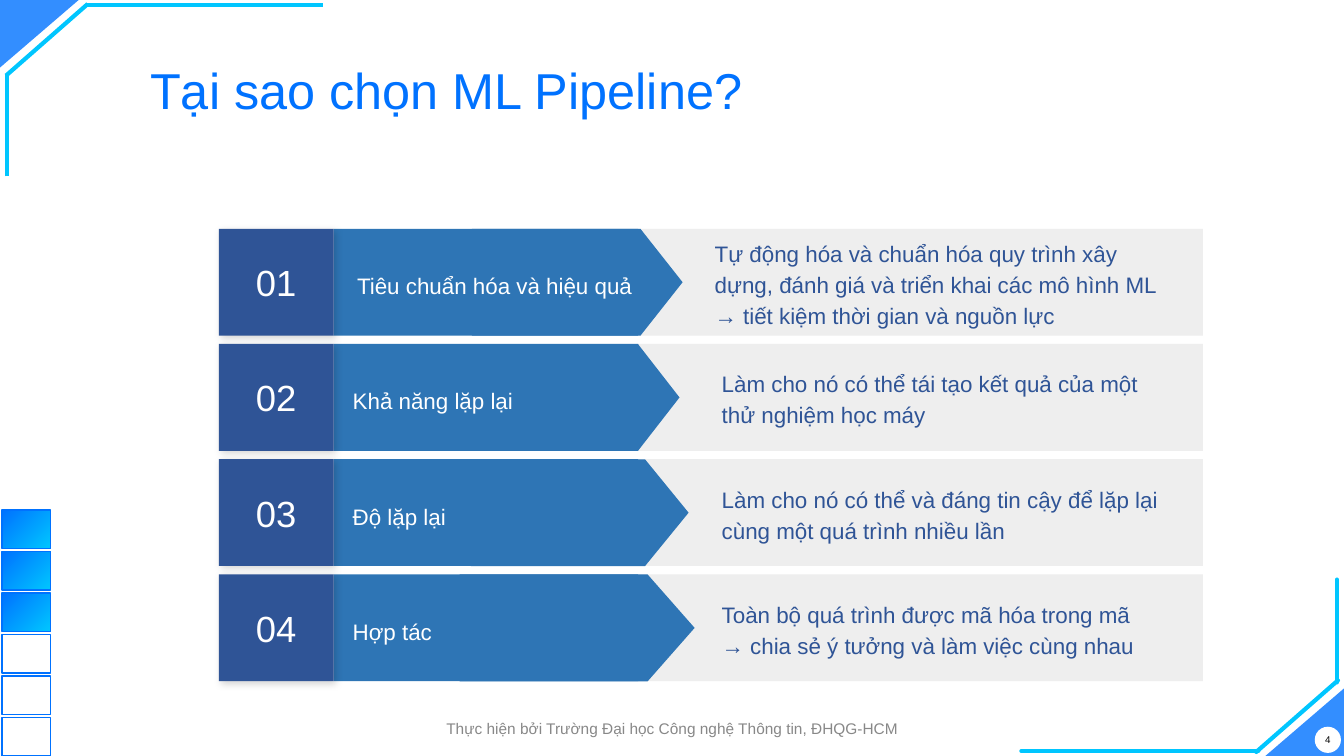
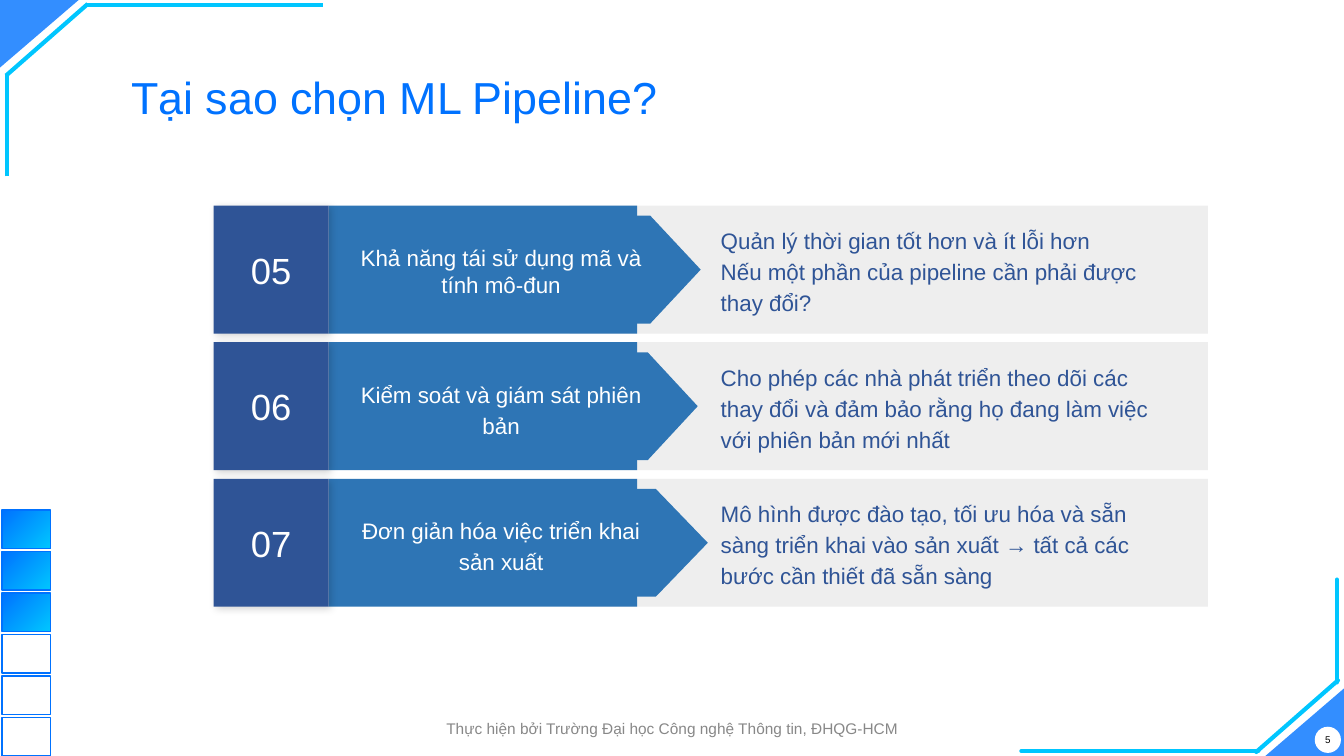
from dataclasses import dataclass

from lxml.etree import SubElement
from pptx import Presentation
from pptx.dml.color import RGBColor
from pptx.enum.shapes import MSO_CONNECTOR, MSO_SHAPE
from pptx.enum.text import MSO_ANCHOR, MSO_AUTO_SIZE, PP_ALIGN
from pptx.oxml.ns import qn
from pptx.util import Inches, Pt

FONT = "Arial"
BLUE, CYAN, WHITE, BLACK = "0072FF", "00C6FF", "FFFFFF", "000000"
NAVY, BAND_BLUE, PANEL_GREY, FOOTER_GREY = "2F5496", "2E75B5", "EEEEEE", "888888"
TITLE = "Tại sao chọn ML Pipeline?"
FOOTER = "Thực hiện bởi Trường Đại học Công nghệ Thông tin, ĐHQG-HCM"


@dataclass
class Row:
    number: str
    label: str
    description: str
    arrow_tip: float  # from the left edge of the row
    arrow_length: float
    label_box: tuple  # left offset and width
    description_box: tuple
    label_align: PP_ALIGN = PP_ALIGN.CENTER
    label_spacing: float = 1.15


@dataclass
class RowGrid:
    left: float
    top: float
    width: float
    height: float
    pitch: float
    number_width: float
    band_width: float
    panel_offset: float
    arrow_height: float


def color(hex_string):
    return RGBColor.from_string(hex_string)


def write_text(shape, text, size, hex_color, align=PP_ALIGN.LEFT,
               anchor=MSO_ANCHOR.MIDDLE, spacing=None, inset=0.1):
    frame = shape.text_frame
    frame.word_wrap = True
    frame.auto_size = MSO_AUTO_SIZE.NONE
    frame.vertical_anchor = anchor
    frame.margin_left = frame.margin_right = Inches(inset)
    frame.margin_top = frame.margin_bottom = Inches(inset)
    paragraph = frame.paragraphs[0]
    paragraph.text = text
    paragraph.alignment = align
    paragraph.line_spacing = spacing
    paragraph.font.name = FONT
    paragraph.font.size = Pt(size)
    paragraph.font.color.rgb = color(hex_color)


def add_box(slide, kind, left, top, width, height, fill=None):
    shape = slide.shapes.add_shape(
        kind, Inches(left), Inches(top), Inches(width), Inches(height))
    shape.shadow.inherit = False
    shape.line.fill.background()
    if fill:
        shape.fill.solid()
        shape.fill.fore_color.rgb = color(fill)
    else:
        shape.fill.background()
    return shape


def add_text(slide, left, top, width, height, *text, **style):
    box = slide.shapes.add_textbox(
        Inches(left), Inches(top), Inches(width), Inches(height))
    write_text(box, *text, **style)


def add_soft_shadow(shape):
    effects = shape._element.spPr.find(qn("a:effectLst"))
    shadow = SubElement(effects, qn("a:outerShdw"), blurRad=str(Pt(5.6)),
                        dist=str(Pt(2.2)), dir="2700000", algn="tl", rotWithShape="0")
    shade = SubElement(shadow, qn("a:srgbClr"), val=BLACK)
    SubElement(shade, qn("a:alpha"), val="16000")


# Slide frame: corners, progress squares, title and footer

def add_corner(slide, left, top, rotation, segments, cap):
    triangle = add_box(slide, MSO_SHAPE.ISOSCELES_TRIANGLE, left, top, 0.78, 0.67, BLUE)
    triangle.adjustments[0] = 1
    triangle.rotation = rotation
    fill_color = triangle._element.spPr.find(qn("a:solidFill")).find(qn("a:srgbClr"))
    SubElement(fill_color, qn("a:alpha"), val="80000")
    for segment in segments:
        line = slide.shapes.add_connector(
            MSO_CONNECTOR.STRAIGHT, *(Inches(value) for value in segment))
        line.line.color.rgb = color(CYAN)
        line.line.width = Pt(3)
        line._element.spPr.find(qn("a:ln")).set("cap", cap)
        SubElement(line._element.spPr, qn("a:effectLst"))


def add_progress_squares(slide, left, top, count=6, filled=3, pitch=0.412):
    for index in range(count):
        square = add_box(slide, MSO_SHAPE.RECTANGLE, left, top + index * pitch, 0.48, 0.38)
        square.line.color.rgb = color(BLUE)
        square.line.width = Pt(1)
        if index < filled:
            square.fill.gradient()
            square.fill.gradient_angle = 315
            for stop, hex_color in zip(square.fill.gradient_stops, (BLUE, CYAN)):
                stop.color.rgb = color(hex_color)


def add_frame(slide, page):
    add_corner(slide, 0, 0, 180, [
        (3.2, 0.05, 0.85, 0.05), (0.87, 0.04, 0.06, 0.75), (0.07, 1.75, 0.07, 0.73)], "flat")
    add_corner(slide, 12.55, 6.83, 0, [
        (10.13, 7.45, 12.48, 7.45), (12.46, 7.46, 13.27, 6.75),
        (13.26, 5.75, 13.26, 6.77)], "rnd")
    badge = add_box(slide, MSO_SHAPE.OVAL, 13.04, 7.21, 0.26, 0.26, WHITE)
    write_text(badge, str(page), 7, BLACK, align=PP_ALIGN.CENTER, inset=0)
    add_progress_squares(slide, 0.02, 5.06)
    add_text(slide, 3.99, 7.08, 5.36, 0.29, FOOTER, 11, FOOTER_GREY,
             align=PP_ALIGN.CENTER, inset=0.05)


def place_title(slide, left, top, size):
    title = slide.shapes.title
    title.left, title.top = Inches(left), Inches(top)
    title.width, title.height = Inches(9.32), Inches(0.63)
    write_text(title, TITLE, size, BLUE, anchor=MSO_ANCHOR.TOP)


# One reason: number, arrow-shaped label and description

def add_row(slide, grid, top, row):
    left, height = grid.left, grid.height
    add_box(slide, MSO_SHAPE.RECTANGLE, left + grid.panel_offset, top,
            grid.width - grid.panel_offset, height, PANEL_GREY)
    add_box(slide, MSO_SHAPE.RECTANGLE, left + grid.number_width, top,
            grid.band_width, height, BAND_BLUE)

    # The arrow is a downward connector turned to point right
    center_x = left + row.arrow_tip - row.arrow_length / 2
    arrow = add_box(slide, MSO_SHAPE.FLOWCHART_OFFPAGE_CONNECTOR,
                    center_x - grid.arrow_height / 2,
                    top + (height - row.arrow_length) / 2,
                    grid.arrow_height, row.arrow_length, BAND_BLUE)
    arrow.rotation = 270

    label_left, label_width = row.label_box
    add_text(slide, left + label_left, top + 0.14, label_width, height - 0.25,
             row.label, 16, WHITE, align=row.label_align, spacing=row.label_spacing)
    number = add_box(slide, MSO_SHAPE.RECTANGLE, left, top, grid.number_width, height, NAVY)
    add_soft_shadow(number)
    write_text(number, row.number, 26, WHITE, align=PP_ALIGN.CENTER)
    description_left, description_width = row.description_box
    add_text(slide, left + description_left, top, description_width, height,
             row.description, 16, NAVY, spacing=1.15)


def add_reasons_slide(presentation, page, title_place, grid, rows):
    slide = presentation.slides.add_slide(presentation.slide_layouts[5])
    add_frame(slide, page)
    place_title(slide, *title_place)
    for index, row in enumerate(rows):
        add_row(slide, grid, grid.top + index * grid.pitch, row)


FIRST_GRID = RowGrid(2.17, 2.27, 9.76, 1.06, 1.143, 1.14, 3.02, 3.5, 1.06)
FIRST_LABEL, FIRST_DESCRIPTION = (1.23, 3.18), (4.89, 4.57)
FIRST_ROWS = [
    Row("01", "Tiêu chuẩn hóa và hiệu quả",
        "Tự động hóa và chuẩn hóa quy trình xây dựng, đánh giá và triển khai "
        "các mô hình ML → tiết kiệm thời gian và nguồn lực",
        4.6, 2.09, (1.06, 3.35), (4.82, 4.63)),
    Row("02", "Khả năng lặp lại",
        "Làm cho nó có thể tái tạo kết quả của một thử nghiệm học máy",
        4.57, 2.06, FIRST_LABEL, FIRST_DESCRIPTION, PP_ALIGN.LEFT),
    Row("03", "Độ lặp lại",
        "Làm cho nó có thể và đáng tin cậy để lặp lại cùng một quá trình nhiều lần",
        4.66, 2.16, FIRST_LABEL, FIRST_DESCRIPTION, PP_ALIGN.LEFT),
    Row("04", "Hợp tác",
        "Toàn bộ quá trình được mã hóa trong mã\v→ chia sẻ ý tưởng và làm việc cùng nhau",
        4.72, 2.33, FIRST_LABEL, FIRST_DESCRIPTION, PP_ALIGN.LEFT),
]

SECOND_GRID = RowGrid(2.12, 2.04, 9.86, 1.27, 1.355, 1.14, 3.06, 3.53, 1.07)
SECOND_LABEL, SECOND_DESCRIPTION = (1.24, 3.22), (4.93, 4.62)
SECOND_ROWS = [
    Row("05", "Khả năng tái sử dụng mã và tính mô-đun",
        "Quản lý thời gian tốt hơn và ít lỗi hơn\v"
        "Nếu một phần của pipeline cần phải được thay đổi?",
        4.83, 2.5, SECOND_LABEL, (4.93, 4.69), label_spacing=1),
    Row("06", "Kiểm soát và giám sát phiên bản",
        "Cho phép các nhà phát triển theo dõi các thay đổi và đảm bảo rằng họ "
        "đang làm việc với phiên bản mới nhất",
        4.8, 2.48, SECOND_LABEL, SECOND_DESCRIPTION),
    Row("07", "Đơn giản hóa việc triển khai sản xuất",
        "Mô hình được đào tạo, tối ưu hóa và sẵn sàng triển khai vào sản xuất "
        "→ tất cả các bước cần thiết đã sẵn sàng",
        4.9, 2.58, SECOND_LABEL, SECOND_DESCRIPTION),
]


def main():
    presentation = Presentation()
    presentation.slide_width, presentation.slide_height = Inches(13.33), Inches(7.5)
    add_reasons_slide(presentation, 4, (1.39, 0.49, 36), FIRST_GRID, FIRST_ROWS)
    add_reasons_slide(presentation, 5, (1.2, 0.59, 32), SECOND_GRID, SECOND_ROWS)
    presentation.save("out.pptx")


if __name__ == "__main__":
    main()
